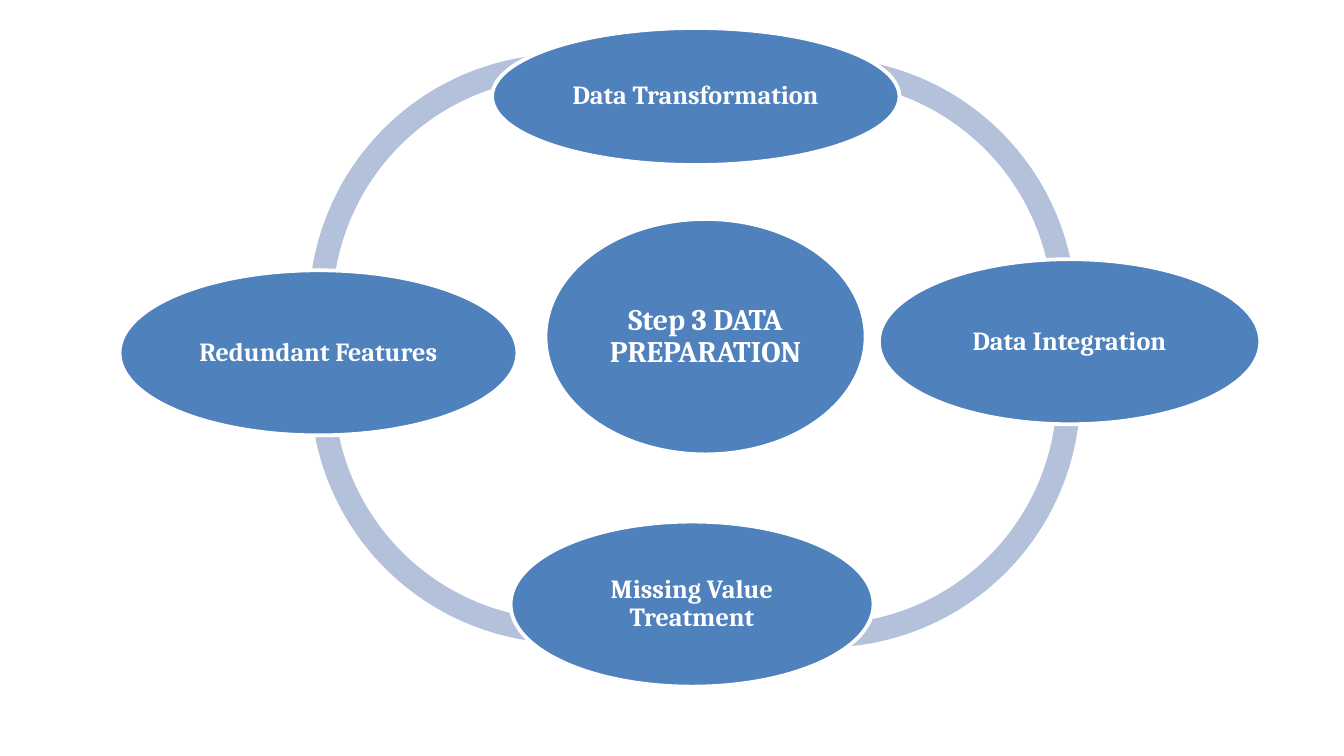
from dataclasses import dataclass

from pptx import Presentation
from pptx.dml.color import RGBColor
from pptx.enum.shapes import MSO_SHAPE
from pptx.enum.text import MSO_ANCHOR, PP_ALIGN
from pptx.util import Cm, Pt

ARC = MSO_SHAPE.BLOCK_ARC
OVAL = MSO_SHAPE.OVAL
MID = MSO_ANCHOR.MIDDLE
CENTER = PP_ALIGN.CENTER


@dataclass(frozen=True)
class Theme:
    blue: RGBColor = RGBColor.from_string("4F81BD")
    pale: RGBColor = RGBColor.from_string("B3C1DB")
    white: RGBColor = RGBColor.from_string("FFFFFF")
    font: str = "Cambria"
    large: int = 16
    small: int = 14
    edge: int = 2


THEME = Theme()
ARC_SIZE = 9.65
ARC_BAND = 0.046
DEG = 0.6

ARCS = [
    (0, 0, 170.01, 301.79),
    (0.03, 1.49, 59.53, 188.22),
    (4.93, 1.57, 348.28, 122.27),
    (4.85, 0.07, 239.67, 6.69),
]
NODES = [
    ("Step 3 DATA PREPARATION", 8.05, 3.61, 6.05, 4.45, THEME.large),
    ("Data Transformation", 7.04, 0, 7.7, 2.59, THEME.small),
    ("Data Integration", 14.35, 4.37, 7.21, 3.12, THEME.small),
    ("Missing Value Treatment", 7.39, 9.33, 6.86, 3.12, THEME.small),
    ("Redundant Features", 0, 4.58, 7.52, 3.12, THEME.small),
]


def style(item, form):
    for name, value in form.items():
        setattr(item, name, value)


def add_form(shapes, kind, box, color):
    form = shapes.add_shape(kind, *(Cm(x) for x in box))
    form.shadow.inherit = False
    form.fill.solid()
    form.fill.fore_color.rgb = color
    return form


def add_ring(shapes, left, top):
    for dx, dy, start, end in ARCS:
        box = (left + dx, top + dy, ARC_SIZE, ARC_SIZE)
        arc = add_form(shapes, ARC, box, THEME.pale)
        arc.line.fill.background()
        for i, value in enumerate((start * DEG, end * DEG, ARC_BAND)):
            arc.adjustments[i] = value


def add_node(shapes, box, text, size):
    node = add_form(shapes, OVAL, box, THEME.blue)
    node.line.color.rgb = THEME.white
    node.line.width = Pt(THEME.edge)
    frame = node.text_frame
    pad = Cm(0.05)
    style(frame, {
        "word_wrap": True, "vertical_anchor": MID,
        "margin_left": pad, "margin_right": pad,
        "margin_top": pad, "margin_bottom": pad,
    })
    para = frame.paragraphs[0]
    style(para, {"alignment": CENTER, "line_spacing": 0.9})
    run = para.add_run()
    run.text = text
    style(run.font, {"name": THEME.font, "size": Pt(size), "bold": True})
    run.font.color.rgb = THEME.white


def add_nodes(shapes, left, top):
    for text, dx, dy, width, height, size in NODES:
        add_node(shapes, (left + dx, top + dy, width, height), text, size)


def main():
    deck = Presentation()
    style(deck, {"slide_width": Cm(25.4), "slide_height": Cm(14.29)})
    slide = deck.slides.add_slide(deck.slide_layouts[6])
    cycle = slide.shapes.add_group_shape().shapes
    add_ring(cycle, 5.84, 1.02)
    add_nodes(cycle, 2.26, 0.53)
    deck.save("out.pptx")


if __name__ == "__main__":
    main()
